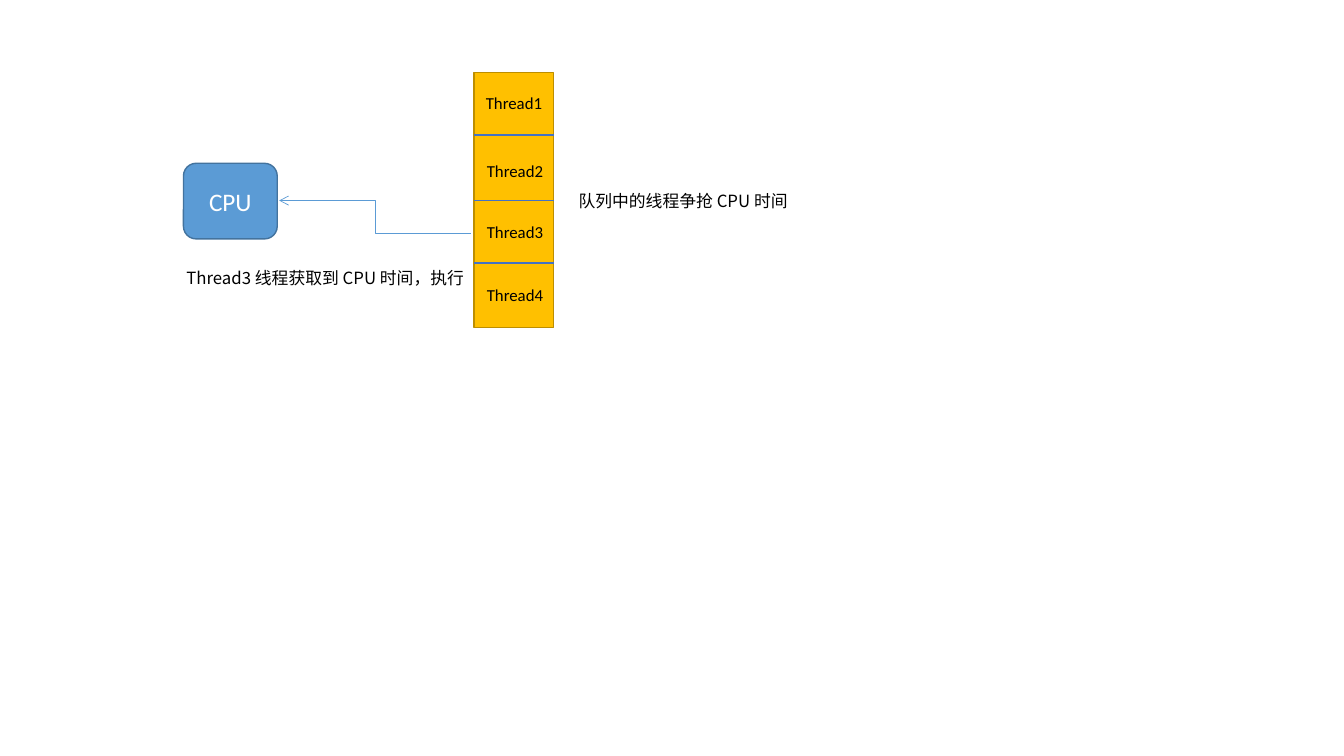
from lxml.etree import SubElement
from pptx import Presentation
from pptx.dml.color import RGBColor
from pptx.enum.shapes import MSO_CONNECTOR, MSO_SHAPE
from pptx.enum.text import MSO_ANCHOR, PP_ALIGN
from pptx.oxml.ns import qn
from pptx.util import Inches, Pt

BLUE = RGBColor(0x5B, 0x9B, 0xD5)
DARK_BLUE = RGBColor(0x43, 0x73, 0x9E)
DIVIDER_BLUE = RGBColor(0x44, 0x72, 0xC4)
GOLD = RGBColor(0xFF, 0xC0, 0x00)
DARK_GOLD = RGBColor(0xBD, 0x8E, 0x00)
BLACK = RGBColor(0x00, 0x00, 0x00)
WHITE = RGBColor(0xFF, 0xFF, 0xFF)

LATIN_FONT = "Calibri"
CHINESE_FONT = "Noto Sans CJK SC"

QUEUE_LEFT, QUEUE_TOP, QUEUE_WIDTH, QUEUE_HEIGHT = 4.7, 0.72, 0.79, 2.53
DIVIDER_TOPS = (1.34, 1.99, 2.61)
THREADS = (  # name, left, top
    ("Thread1", 4.72, 0.87),
    ("Thread2", 4.73, 1.55),
    ("Thread3", 4.73, 2.15),
    ("Thread4", 4.73, 2.78),
)
CAPTIONS = (  # text, left, top, width
    ("Thread3 线程获取到 CPU 时间，执行", 1.75, 2.61, 2.95),
    ("队列中的线程争抢 CPU 时间", 5.64, 1.84, 2.28),
)


def set_attributes(target, formats):
    """Set every attribute named in formats on the target."""
    for name, value in formats.items():
        setattr(target, name, value)


def write(frame, text, size, color, font=LATIN_FONT):
    """Write one formatted run and return its paragraph."""
    para = frame.paragraphs[0]
    span = para.add_run()
    span.text = text
    set_attributes(span.font, {"size": Pt(size), "name": font})
    span.font.color.rgb = color
    if font == CHINESE_FONT:
        properties = span.font._element
        SubElement(properties, qn("a:ea"), typeface=font)
    return para


def add_box(page, kind, place, fill, outline):
    """Add a filled, outlined shape without a shadow."""
    box = page.shapes.add_shape(kind, *map(Inches, place))
    box.shadow.inherit = False
    box.fill.solid()
    box.fill.fore_color.rgb = fill
    box.line.color.rgb = outline
    box.line.width = Pt(1)
    return box


def add_label(page, text, place, wrap=False, font=LATIN_FONT):
    """Add a 12-point text box and return its paragraph."""
    frame = page.shapes.add_textbox(*map(Inches, place)).text_frame
    frame.word_wrap = wrap
    return write(frame, text, 12, BLACK, font)


def add_line(page, kind, start, end, color, width):
    """Add a connector without a shadow."""
    line = page.shapes.add_connector(kind, *map(Inches, start + end))
    line.line.color.rgb = color
    line.line.width = Pt(width)
    SubElement(line._element.spPr, qn("a:effectLst"))
    return line


def add_queue(page):
    """Draw the thread queue with its dividers and names."""
    place = (QUEUE_LEFT, QUEUE_TOP, QUEUE_WIDTH, QUEUE_HEIGHT)
    add_box(page, MSO_SHAPE.RECTANGLE, place, GOLD, DARK_GOLD)
    for top in DIVIDER_TOPS:
        add_line(page, MSO_CONNECTOR.STRAIGHT, (QUEUE_LEFT, top),
                 (QUEUE_LEFT + QUEUE_WIDTH, top), DIVIDER_BLUE, 1)
    for name, left, top in THREADS:
        add_label(page, name, (left, top, 0.76, 0.3))


def add_cpu(page):
    """Draw the CPU box and the arrow leading from Thread3 to it."""
    box = add_box(page, MSO_SHAPE.ROUNDED_RECTANGLE,
                  (1.82, 1.62, 0.93, 0.75), BLUE, DARK_BLUE)
    box.text_frame.vertical_anchor = MSO_ANCHOR.MIDDLE
    write(box.text_frame, "CPU", 18, WHITE).alignment = PP_ALIGN.CENTER
    arrow = add_line(page, MSO_CONNECTOR.ELBOW, (4.67, 2.32), (2.77, 1.99),
                     BLUE, 0.5)
    SubElement(arrow.line._get_or_add_ln(), qn("a:tailEnd"), type="arrow")


def main():
    """Build and save the slide."""
    deck = Presentation()
    set_attributes(deck, {"slide_width": Inches(13.33),
                          "slide_height": Inches(7.5)})
    page = deck.slides.add_slide(deck.slide_layouts[6])
    add_queue(page)
    add_cpu(page)
    for text, left, top, width in CAPTIONS:
        para = add_label(page, text, (left, top, width, 0.3), True,
                         CHINESE_FONT)
        para.line_spacing = Pt(14.4)
    deck.save("out.pptx")


main()
